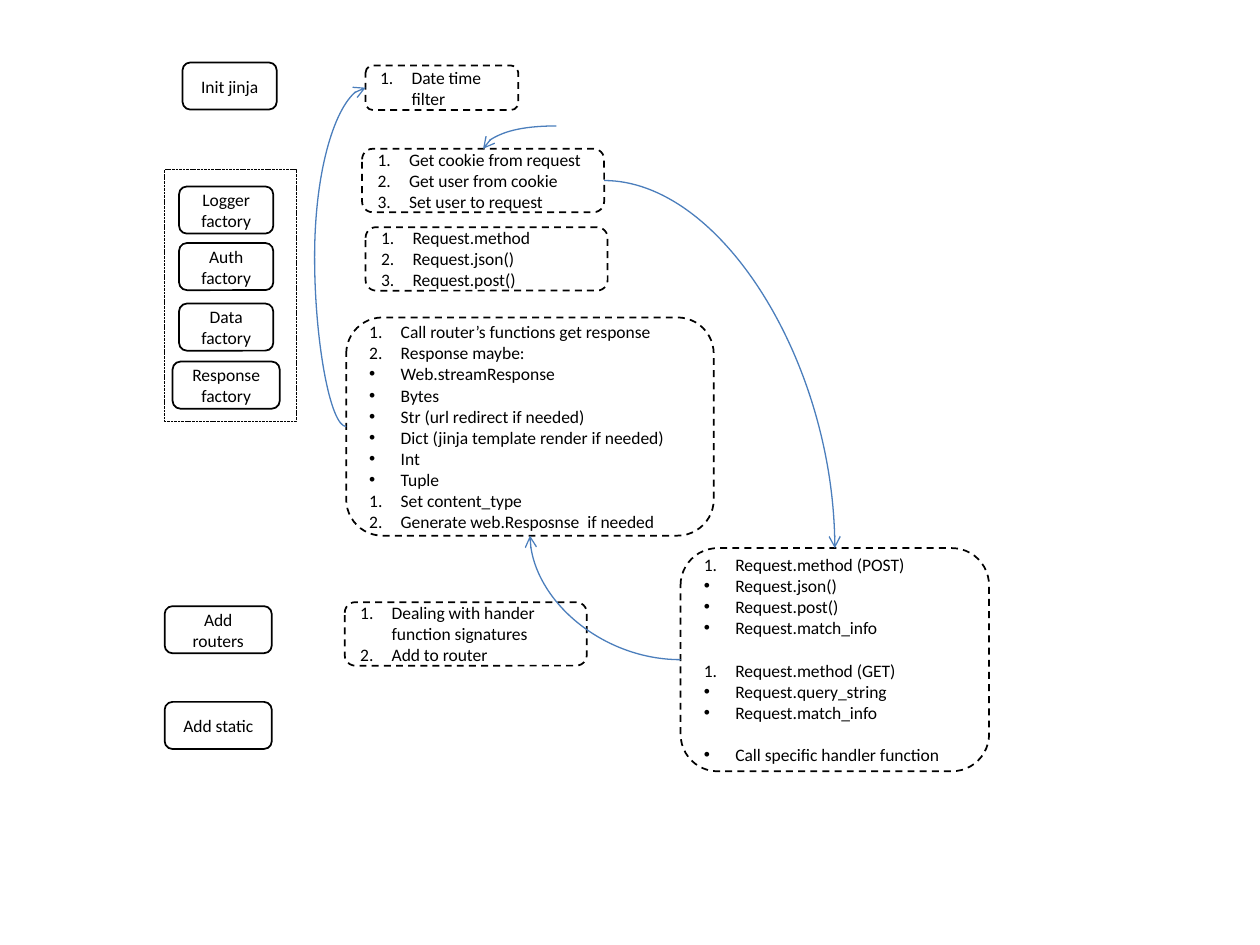
from dataclasses import dataclass

from lxml.etree import SubElement
from pptx import Presentation
from pptx.dml.color import RGBColor
from pptx.enum.dml import MSO_LINE
from pptx.enum.shapes import MSO_CONNECTOR, MSO_SHAPE
from pptx.enum.text import MSO_ANCHOR, PP_ALIGN
from pptx.oxml.ns import qn
from pptx.util import Cm, Pt

BLACK, BLUE = "000000", "4B7EBC"
TOP, LEFT, BOTTOM, RIGHT = range(4)
LINE_GAP = 12.2


@dataclass
class Step:
    """A component of the application, named by a centred label."""
    label: str
    left: float
    top: float
    width: float = 1.9
    height: float = 0.95


@dataclass
class Item:
    """One list entry; gap is the space above it in points."""
    text: str
    numbered: bool = True
    gap: float = 0


@dataclass
class Detail:
    """A dashed box holding a list."""
    name: str
    left: float
    top: float
    width: float
    height: float
    items: list[Item]


@dataclass
class Flow:
    """A curved arrow from the side of one box to the side of another."""
    source: str | None
    source_side: int
    target: str
    target_side: int
    bend: int | None = None


def numbers(*texts: str) -> list[Item]:
    """Make numbered entries."""
    return [Item(text) for text in texts]


def bullets(*texts: str) -> list[Item]:
    """Make bulleted entries."""
    return [Item(text, numbered=False) for text in texts]


STEPS = [
    Step("Logger factory", 3.61, 3.76),
    Step("Auth factory", 3.61, 4.9),
    Step("Data factory", 3.61, 6.12),
    Step("Response factory", 3.48, 7.29, 2.16),
    Step("Add routers", 3.32, 12.22, 2.16),
    Step("Add static", 3.32, 14.15, 2.16),
    Step("Init jinja", 3.68, 1.26),
]
DETAILS = [
    Detail("cookie", 7.3, 3, 4.88, 1.28, numbers(
        "Get cookie from request", "Get user from cookie", "Set user to request")),
    Detail("request", 7.37, 4.58, 4.88, 1.28, numbers(
        "Request.method", "Request.json()", "Request.post()")),
    Detail("response", 6.98, 6.4, 7.41, 4.4,
           numbers("Call router’s functions get response", "Response maybe:")
           + bullets("Web.streamResponse", "Bytes", "Str (url redirect if needed)",
                     "Dict (jinja template render if needed)", "Int", "Tuple")
           + numbers("Set content_type", "Generate web.Resposnse  if needed")),
    Detail("router", 6.95, 12.14, 4.88, 1.28, numbers(
        "Dealing with hander function signatures", "Add to router")),
    Detail("filter", 7.37, 1.32, 3.08, 0.9, numbers("Date time filter")),
    Detail("handler", 13.72, 11.05, 6.22, 4.5,
           numbers("Request.method (POST)")
           + bullets("Request.json()", "Request.post()", "Request.match_info")
           + [Item("Request.method (GET)", gap=LINE_GAP)]
           + bullets("Request.query_string", "Request.match_info")
           + [Item("Call specific handler function", False, LINE_GAP)]),
]
FLOWS = [
    Flow(None, RIGHT, "cookie", TOP),
    Flow("cookie", RIGHT, "handler", TOP),
    Flow("handler", LEFT, "response", BOTTOM),
    Flow("response", LEFT, "filter", LEFT, bend=-163400),
]


def colour(value: str) -> RGBColor:
    """Turn a hex string into a colour."""
    return RGBColor.from_string(value)


def apply(target, formats: dict) -> None:
    """Set each attribute in formats on target."""
    for name, value in formats.items():
        setattr(target, name, value)


def add_box(page, place, kind=MSO_SHAPE.ROUNDED_RECTANGLE, width=1.0, dash=None):
    """Draw an unfilled outlined shape; place holds left, top, width, height."""
    box = page.shapes.add_shape(kind, *(Cm(length) for length in place))
    box.shadow.inherit = False
    box.fill.background()
    box.line.color.rgb = colour(BLACK)
    apply(box.line, {"width": Pt(width), "dash_style": dash})
    apply(box.text_frame, {"word_wrap": True, "vertical_anchor": MSO_ANCHOR.MIDDLE})
    return box


def add_text(para, text: str, align=PP_ALIGN.LEFT) -> None:
    """Write one span in a paragraph."""
    para.alignment = align
    span = para.add_run()
    apply(span, {"text": text})
    apply(span.font, {"name": "Calibri", "size": Pt(10)})
    span.font.color.rgb = colour(BLACK)


def add_step(page, step: Step) -> None:
    """Draw a labelled component box."""
    box = add_box(page, (step.left, step.top, step.width, step.height))
    add_text(box.text_frame.paragraphs[0], step.label, PP_ALIGN.CENTER)


def add_detail(page, detail: Detail):
    """Draw a dashed box with its list."""
    box = add_box(page, (detail.left, detail.top, detail.width, detail.height),
                  dash=MSO_LINE.DASH)
    frame = box.text_frame
    for index, item in enumerate(detail.items):
        para = frame.add_paragraph() if index else frame.paragraphs[0]
        add_text(para, item.text)
        para.space_before = Pt(item.gap)
        properties = para._p.get_or_add_pPr()
        indent = Cm(0.635)
        properties.set("marL", str(indent))
        properties.set("indent", str(-indent))
        if item.numbered:
            SubElement(properties, qn("a:buFont"), typeface="+mj-lt")
            SubElement(properties, qn("a:buAutoNum"), type="arabicPeriod")
        else:
            SubElement(properties, qn("a:buFont"), typeface="Arial")
            SubElement(properties, qn("a:buChar"), char="•")
    return box


def add_flow(page, flow: Flow, boxes: dict) -> None:
    """Draw a curved arrow glued to its boxes."""
    line = page.shapes.add_connector(
        MSO_CONNECTOR.CURVE, Cm(11.22), Cm(2.54), Cm(9.74), Cm(3))
    if flow.source:
        line.begin_connect(boxes[flow.source], flow.source_side)
    line.end_connect(boxes[flow.target], flow.target_side)
    line.line.color.rgb = colour(BLUE)
    line.line.width = Pt(0.75)
    SubElement(line.line._get_or_add_ln(), qn("a:tailEnd"), type="arrow")
    properties = line._element.spPr
    SubElement(properties, qn("a:effectLst"))
    geometry = properties.find(qn("a:prstGeom"))
    if flow.bend is None:
        geometry.set("prst", "curvedConnector2")
    else:
        SubElement(geometry.find(qn("a:avLst")), qn("a:gd"),
                   name="adj1", fmla=f"val {flow.bend}")


def main() -> None:
    """Build and save the slide."""
    deck = Presentation()
    apply(deck, {"slide_width": Cm(25.4), "slide_height": Cm(19.05)})
    page = deck.slides.add_slide(deck.slide_layouts[6])
    for step in STEPS:
        add_step(page, step)
    boxes = {detail.name: add_detail(page, detail) for detail in DETAILS}
    for flow in FLOWS:
        add_flow(page, flow, boxes)
    add_box(page, (3.32, 3.42, 2.65, 5.08), MSO_SHAPE.RECTANGLE, 0.5,
            MSO_LINE.SQUARE_DOT)
    deck.save("out.pptx")


main()
